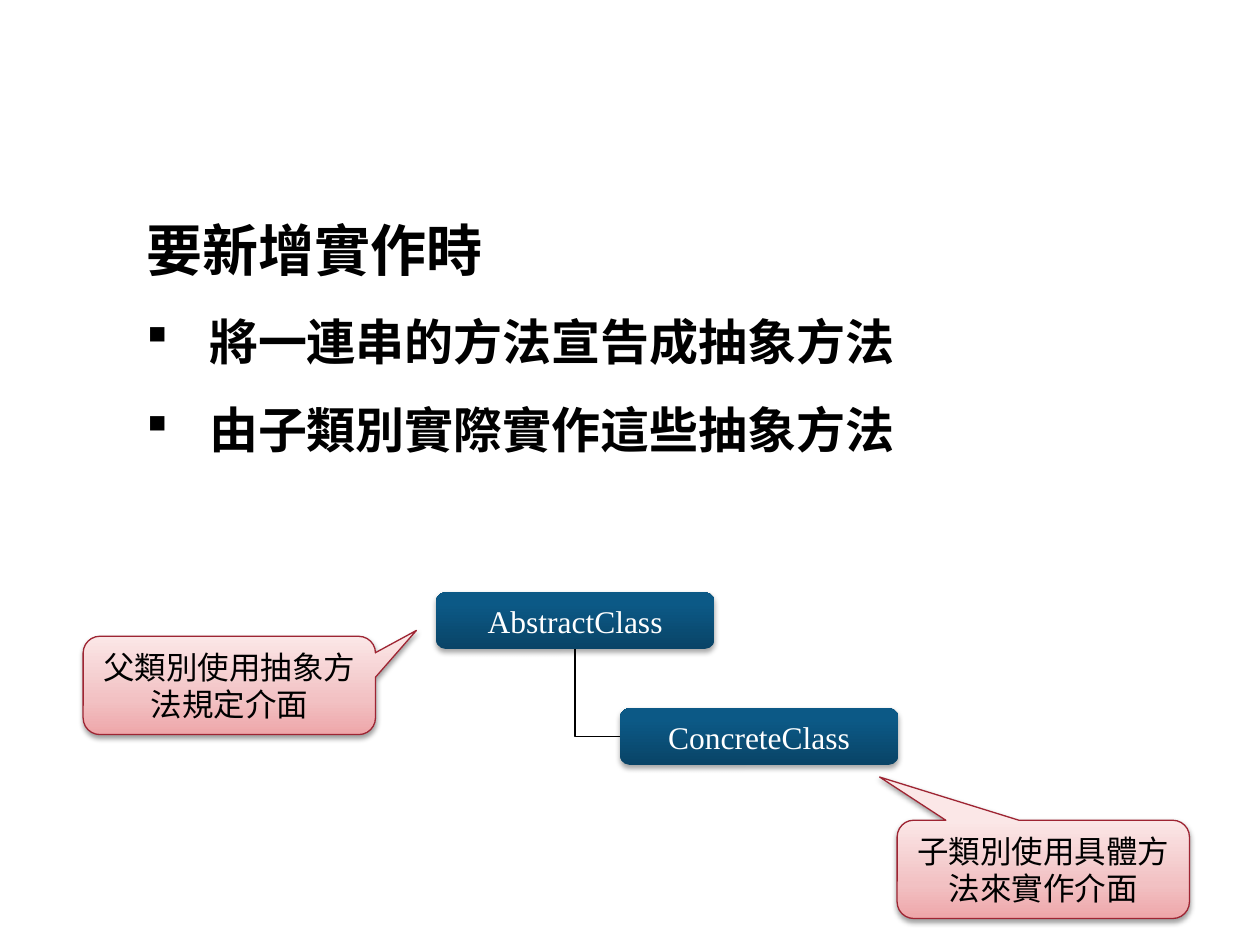
from lxml import etree
from pptx import Presentation
from pptx.dml.color import RGBColor
from pptx.enum import shapes, text
from pptx.oxml import ns
from pptx.util import Inches, Pt

BLACK = RGBColor(0, 0, 0)
WHITE = RGBColor(255, 255, 255)
RED = RGBColor(0x9E, 0x25, 0x33)
BLUES = ((0, RGBColor(0x09, 0x44, 0x67)), (80, RGBColor(0x0C, 0x59, 0x86)),
         (100, RGBColor(0x0A, 0x5A, 0x89)))
PINKS = ((0, RGBColor(0xEE, 0xA6, 0xA9)), (35, RGBColor(0xF2, 0xC1, 0xC3)),
         (100, RGBColor(0xFB, 0xE7, 0xE7)))
SERIF = "Times New Roman"
SANS = "Noto Sans CJK TC"


def sub(node, tag, **attrs):
    """Add a child element with attributes."""
    attrs = {key: str(val) for key, val in attrs.items()}
    return etree.SubElement(node, ns.qn(tag), attrs)


def write(para, words, size=18, font=SERIF, color=BLACK, bold=False,
          align=text.PP_ALIGN.CENTER, space=1.0):
    """Write one formatted run in a paragraph."""
    para.alignment = align
    para.space_before = Pt(0)
    para.line_spacing = space
    run = para.add_run()
    run.text = words
    run.font.size = Pt(size)
    run.font.name = font
    run.font.bold = bold
    run.font.color.rgb = color
    sub(run.font._element, "a:ea", typeface=SANS)


def bullet(para, mark=None):
    """Set a hanging Wingdings bullet, or none."""
    props = para._p.get_or_add_pPr()
    indent = Inches(0.5) if mark else 0
    props.set("marL", str(indent))
    props.set("indent", str(-indent))
    if mark:
        sub(props, "a:buFont", typeface="Wingdings", pitchFamily=2, charset=2)
        sub(props, "a:buChar", char=mark)
    else:
        sub(props, "a:buNone")


def shade(shape, stops, alpha, dist):
    """Give a shape a gradient and a soft shadow."""
    shape.fill.gradient()
    shape.fill.gradient_angle = 90
    props = shape._element.spPr
    chain = props.find(".//" + ns.qn("a:gsLst"))
    for old in list(chain):
        chain.remove(old)
    for place, color in stops:
        stop = sub(chain, "a:gs", pos=place * 1000)
        sub(stop, "a:srgbClr", val=color)
    shape.shadow.inherit = False
    glow = sub(props.find(ns.qn("a:effectLst")), "a:outerShdw", blurRad=Pt(3.1),
               dist=Pt(dist), dir=5400000, rotWithShape=0)
    sub(sub(glow, "a:srgbClr", val=BLACK), "a:alpha", val=alpha * 1000)


def node(slide, kind, left, top, width, height):
    """Add a preset shape with centred text."""
    shape = slide.shapes.add_shape(kind, Inches(left), Inches(top),
                                   Inches(width), Inches(height))
    shape.text_frame.word_wrap = True
    shape.text_frame.vertical_anchor = text.MSO_ANCHOR.MIDDLE
    return shape


def box(slide, left, top, name):
    """Add a class box."""
    shape = node(slide, shapes.MSO_SHAPE.ROUNDED_RECTANGLE, left, top, 2.21, 0.45)
    shade(shape, BLUES, 35, 1.8)
    shape.line.fill.background()
    write(shape.text_frame.paragraphs[0], name, color=WHITE)
    return shape


def callout(slide, left, top, tip, words):
    """Add a callout whose tip is given as adjustments."""
    shape = node(slide, shapes.MSO_SHAPE.ROUNDED_RECTANGULAR_CALLOUT,
                 left, top, 2.32, 0.78)
    for spot, value in enumerate(tip):
        shape.adjustments[spot] = value
    shape.line.color.rgb = RED
    shape.line.width = Pt(0.75)
    shade(shape, PINKS, 38, 1.6)
    write(shape.text_frame.paragraphs[0], words)


def link(slide, child, parent):
    """Join the left of a child to the bottom of its parent."""
    line = slide.shapes.add_connector(shapes.MSO_CONNECTOR.ELBOW, 0, 0, 0, 0)
    line.begin_connect(child, 1)
    line.end_connect(parent, 2)
    line.line.color.rgb = BLACK
    line.line.width = Pt(0.75)
    props = line._element.spPr
    props.find(ns.qn("a:prstGeom")).set("prst", "bentConnector2")
    sub(props, "a:effectLst")


def body(slide, lines):
    """Fill the body placeholder with a heading and bullets."""
    holder = slide.placeholders[1]
    holder.left, holder.top = Inches(1.06), Inches(1.39)
    holder.width, holder.height = Inches(8.94), Inches(5.51)
    frame = holder.text_frame
    frame.vertical_anchor = text.MSO_ANCHOR.TOP
    frame.auto_size = text.MSO_AUTO_SIZE.NONE
    for spot, words in enumerate(lines):
        para = frame.add_paragraph() if spot else frame.paragraphs[0]
        write(para, words, size=28 if spot else 32, font=SANS, bold=True,
              align=text.PP_ALIGN.LEFT, space=1.5)
        bullet(para, "§" if spot else None)


def main():
    """Build the slide and save it."""
    deck = Presentation()
    deck.slide_width, deck.slide_height = Inches(10), Inches(7.5)
    slide = deck.slides.add_slide(deck.slide_layouts[1])
    title = slide.shapes.title._element
    title.getparent().remove(title)
    body(slide, ("要新增實作時", "將一連串的方法宣告成抽象方法",
                 "由子類別實際實作這些抽象方法"))
    parent = box(slide, 3.46, 4.7, "AbstractClass")
    child = box(slide, 4.92, 5.62, "ConcreteClass")
    link(slide, child, parent)
    callout(slide, 0.66, 5.05, (0.64, -0.56, 0.17), "父類別使用抽象方法規定介面")
    callout(slide, 7.12, 6.51, (-0.56, -0.94, 0.17), "子類別使用具體方法來實作介面")
    deck.save("out.pptx")


main()
